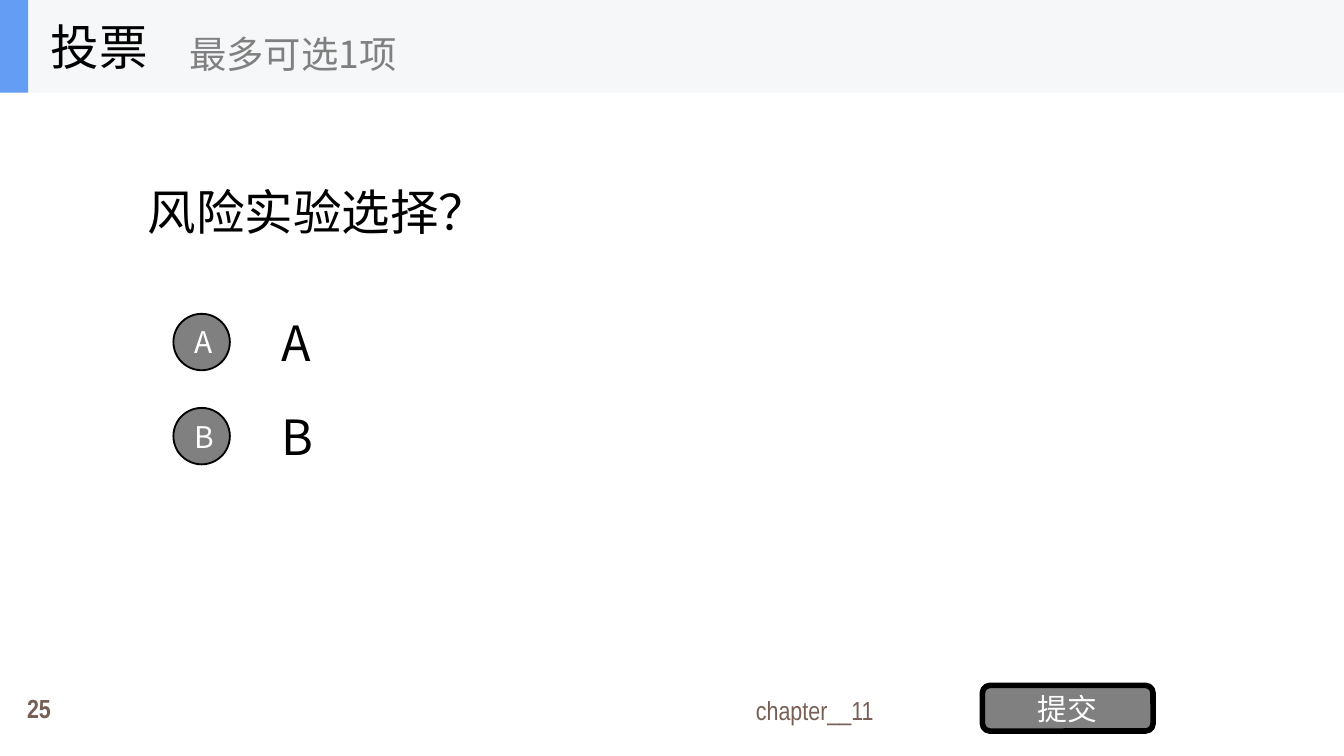
from lxml import etree
from pptx import Presentation
from pptx import util as u
from pptx.dml.color import RGBColor
from pptx.enum import shapes, text
from pptx.oxml.ns import qn

HUES = {"ink": "000000", "gray": "808080", "white": "FFFFFF",
        "band": "F6F7F8", "blue": "639EF4", "brown": "775F55"}
WIDE = 10
HIGH = WIDE * 9 / 16
HEAD = 0.69
ROW, TOP, GAP = 0.53, 2.28, 0.7
DOT = 0.42
HAN, SLIM = "Noto Sans CJK SC", "Arial Narrow"
LEFT, MID, RIGHT = (text.PP_ALIGN.LEFT, text.PP_ALIGN.CENTER,
                    text.PP_ALIGN.RIGHT)
KIND = shapes.MSO_SHAPE

FORMS = {
    "main": {"name": HAN, "size": u.Pt(26), "hue": "ink"},
    "hint": {"name": HAN, "size": u.Pt(20), "hue": "gray"},
    "mark": {"name": HAN, "size": u.Pt(16), "hue": "white"},
    "foot": {"name": SLIM, "size": u.Pt(14), "hue": "brown"},
    "page": {"name": SLIM, "size": u.Pt(14), "hue": "brown", "bold": True},
}
LABELS = [
    ("chapter__11", (0.67, 5.13, 5.93, 0.3), "foot", RIGHT),
    ("25", (0, 5.13, 0.58, 0.31), "page", MID, 0.9),
    ("风险实验选择？", (WIDE * 0.1, HEAD, WIDE * 0.8, 1.76), "main", LEFT),
]
CHOICES = ["A", "B"]
BANDS = [("band", WIDE), ("blue", 0.21)]
TITLES = [
    ("投票", (0.28, 0, 2.08, HEAD), "main", LEFT),
    ("最多可选1项", (1.31, 0.12, 2.5, 0.56), "hint", LEFT),
]


def tint(hue):
    return RGBColor.from_string(HUES[hue])


def write(shape, words, form, align, pitch=None):
    frame = shape.text_frame
    frame.word_wrap = True
    frame.vertical_anchor = text.MSO_ANCHOR.MIDDLE
    para = frame.paragraphs[0]
    para.alignment = align
    para.line_spacing = pitch
    run = para.add_run()
    run.text = words
    for key, value in FORMS[form].items():
        if key == "hue":
            run.font.color.rgb = tint(value)
        else:
            setattr(run.font, key, value)
    east = etree.SubElement(run.font._element, qn("a:ea"))
    east.set("typeface", FORMS[form]["name"])


def label(home, words, box, form, align, pitch=None):
    shape = home.add_textbox(*map(u.Inches, box))
    write(shape, words, form, align, pitch)


def solid(home, kind, box, hue, edge=0):
    shape = home.add_shape(kind, *map(u.Inches, box))
    shape.shadow.inherit = False
    shape.fill.solid()
    shape.fill.fore_color.rgb = tint(hue)
    if edge:
        shape.line.color.rgb = tint("ink")
        shape.line.width = u.Pt(edge)
    else:
        shape.line.fill.background()
    return shape


def main():
    deck = Presentation()
    deck.slide_width, deck.slide_height = u.Inches(WIDE), u.Inches(HIGH)
    page = deck.slides.add_slide(deck.slide_layouts[6]).shapes

    for item in LABELS:
        label(page, *item)

    for i, name in enumerate(CHOICES):
        top = TOP + i * GAP
        label(page, name, (2, top, 7, ROW), "main", LEFT)
        box = (1.29, top + (ROW - DOT) / 2, DOT, DOT)
        write(solid(page, KIND.OVAL, box, "gray", 1), name, "mark", MID)

    send = solid(page, KIND.ROUNDED_RECTANGLE, (7.31, 5.1, 1.27, 0.34),
                 "gray", 3)
    write(send, "提交", "mark", MID)

    head = page.add_group_shape().shapes
    for hue, wide in BANDS:
        solid(head, KIND.RECTANGLE, (0, 0, wide, HEAD), hue)
    for item in TITLES:
        label(head, *item)

    deck.save("out.pptx")


if __name__ == "__main__":
    main()
